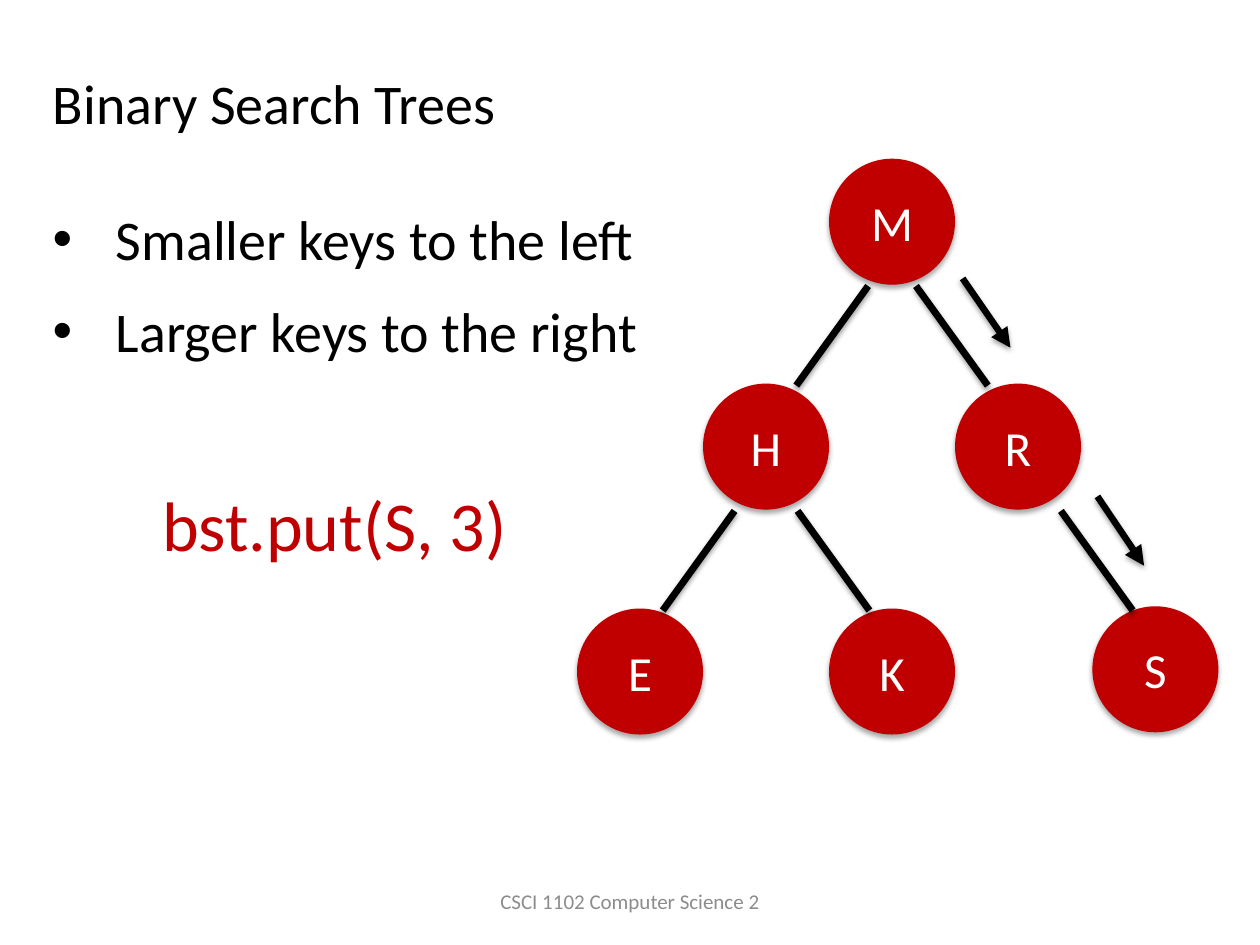
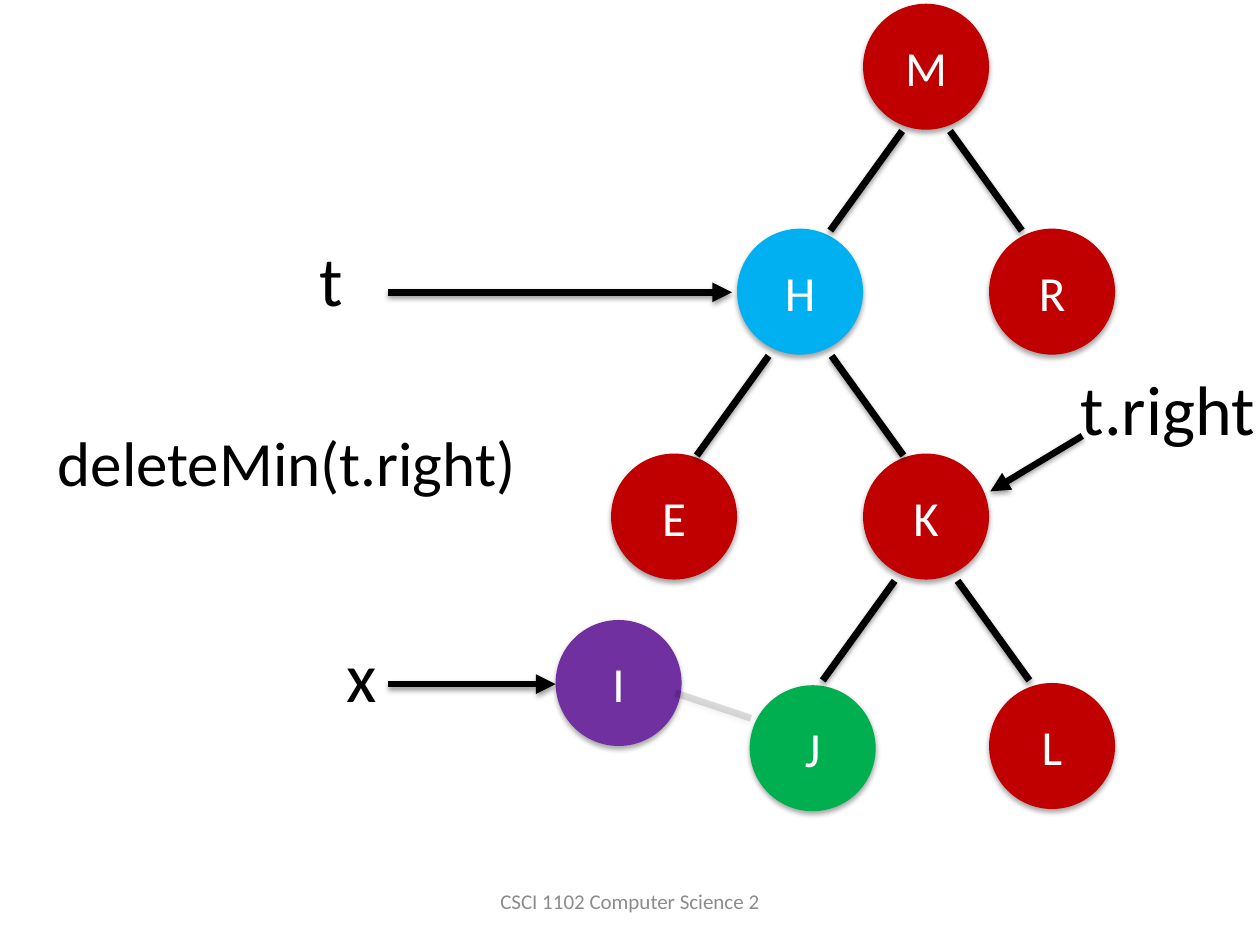
from dataclasses import dataclass

import pptx
import pptx.dml.color
import pptx.enum.shapes
import pptx.enum.text
import pptx.oxml
import pptx.oxml.ns
import pptx.presentation
import pptx.shapes.base
import pptx.shapes.connector
import pptx.slide
import pptx.text.text
import pptx.util

CELL = pptx.util.Inches(1)  # the slide is a grid of 10 columns by 7.5 rows
COLUMNS, ROWS = 10, 7.5
NODE = 1  # diameter of a tree node
LEVEL = 1.785  # distance between tree levels
EDGE_RUN, EDGE_DROP = 0.57, 0.79
EDGE_WIDTH, POINTER_WIDTH = 4, 3.75

FONT = "Calibri"
BLACK, WHITE, GREY = "000000", "FFFFFF", "8C8C8C"
RED, BLUE, PURPLE, GREEN = "C00000", "00B0F0", "7030A0", "00B050"

PP_ALIGN = pptx.enum.text.PP_ALIGN
ANCHOR = pptx.enum.text.MSO_ANCHOR
AUTO_SIZE = pptx.enum.text.MSO_AUTO_SIZE
TITLE_ONLY, BLANK = 5, 6


@dataclass(frozen=True)
class Node:
    """A key, placed in columns and levels relative to the root."""
    key: str
    column: float
    level: float
    color: str = RED


@dataclass(frozen=True)
class Edge:
    """A branch leaving the parent's foot; offset is signed, left is negative."""
    parent: str
    offset: float


@dataclass(frozen=True)
class Pointer:
    start: tuple[float, float]
    end: tuple[float, float]


@dataclass(frozen=True)
class Label:
    text: str
    box: tuple[float, float, float, float]
    size: float = 40
    color: str = BLACK


@dataclass(frozen=True)
class Tree:
    root: tuple[float, float]
    nodes: list[Node]
    edges: list[Edge]


INSERTION = Tree(
    (6.58, 1.26),
    [Node("M", 0, 0), Node("H", -1, 1), Node("E", -2, 2), Node("R", 1, 1),
     Node("K", 0, 2), Node("S", 2.09, 1.99)],
    [Edge("M", -0.19), Edge("M", 0.19), Edge("H", -0.25), Edge("H", 0.25),
     Edge("R", 0.34)],
)
INSERTION_PATH = [Pointer((7.64, 2.21), (8.02, 2.76)),
                  Pointer((8.71, 3.94), (9.08, 4.49))]
KEY_RULES = ["Smaller keys to the left", "Larger keys to the right"]
PUT_CALL = Label("bst.put(S, 3)", (1.19, 3.77, 2.96, 0.77), color=RED)

DELETION = Tree(
    (6.85, 0.03),
    [Node("M", 0, 0), Node("H", -1, 1, BLUE), Node("E", -2, 2), Node("R", 1, 1),
     Node("K", 0, 2), Node("I", -2.44, 2.74, PURPLE), Node("L", 1, 3.02),
     Node("J", -0.9, 3.03, GREEN)],
    [Edge("M", -0.19), Edge("M", 0.19), Edge("H", -0.25), Edge("H", 0.25),
     Edge("K", -0.25), Edge("K", 0.25)],
)
DELETION_POINTERS = [Pointer((3.08, 2.32), (5.81, 2.32)),
                     Pointer((8.59, 3.46), (7.86, 3.9)),
                     Pointer((3.08, 5.43), (4.41, 5.43))]
DETACHED_LINK = Pointer((5.36, 5.5), (5.96, 5.7))
DELETION_LABELS = [
    Label("t", (2.44, 1.83, 0.39, 0.77)),
    Label("t.right", (8.48, 2.85, 1.6, 0.77)),
    Label("x", (2.65, 4.97, 0.45, 0.77)),
    Label("deleteMin(t.right)", (0.36, 3.31, 3.87, 0.71), 36),
]


def grid(*cells: float) -> list[pptx.util.Emu]:
    return [pptx.util.Emu(round(cell * CELL)) for cell in cells]


def rgb(color: str) -> pptx.dml.color.RGBColor:
    return pptx.dml.color.RGBColor.from_string(color)


def add_run(paragraph: pptx.text.text._Paragraph, text: str, size: float, color: str) -> None:
    run = paragraph.add_run()
    run.text = text
    run.font.name = FONT
    run.font.size = pptx.util.Pt(size)
    run.font.color.rgb = rgb(color)


def add_shadow(shape: pptx.shapes.base.BaseShape, distance: float, opacity: int) -> None:
    """Give the shape a soft black shadow falling straight down."""
    shape._element.spPr.append(pptx.oxml.parse_xml(
        f'<a:effectLst {pptx.oxml.ns.nsdecls("a")}>'
        f'<a:outerShdw blurRad="{pptx.util.Pt(3.1)}" dist="{pptx.util.Pt(distance)}"'
        ' dir="5400000" rotWithShape="0">'
        f'<a:srgbClr val="{BLACK}"><a:alpha val="{opacity * 1000}"/></a:srgbClr>'
        '</a:outerShdw></a:effectLst>'))


def add_line(slide: pptx.slide.Slide, line: Pointer, width: float,
             arrow: bool = False, opacity: int = 100) -> None:
    connector = slide.shapes.add_connector(
        pptx.enum.shapes.MSO_CONNECTOR.STRAIGHT, *grid(*line.start, *line.end))
    connector.line.width = pptx.util.Pt(width)
    connector.line.color.rgb = rgb(BLACK)
    outline = connector.line._get_or_add_ln()
    if opacity < 100:
        color = outline.find(".//" + pptx.oxml.ns.qn("a:srgbClr"))
        color.append(pptx.oxml.parse_xml(
            f'<a:alpha {pptx.oxml.ns.nsdecls("a")} val="{opacity * 1000}"/>'))
    if arrow:
        outline.append(pptx.oxml.parse_xml(
            f'<a:tailEnd {pptx.oxml.ns.nsdecls("a")} type="triangle"/>'))
    add_shadow(connector, 1.6, 38)


def add_node(slide: pptx.slide.Slide, node: Node, left: float, top: float) -> None:
    circle = slide.shapes.add_shape(
        pptx.enum.shapes.MSO_SHAPE.OVAL, *grid(left, top, NODE, NODE))
    circle.shadow.inherit = False
    circle._element.spPr.remove(circle._element.spPr.find(pptx.oxml.ns.qn("a:effectLst")))
    circle.fill.solid()
    circle.fill.fore_color.rgb = rgb(node.color)
    circle.line.fill.background()
    add_shadow(circle, 1.8, 35)
    circle.text_frame.vertical_anchor = ANCHOR.MIDDLE
    paragraph = circle.text_frame.paragraphs[0]
    paragraph.alignment = PP_ALIGN.CENTER
    add_run(paragraph, node.key, 28, WHITE)


def add_tree(slide: pptx.slide.Slide, tree: Tree) -> None:
    corners = {node.key: (tree.root[0] + node.column, tree.root[1] + node.level * LEVEL)
               for node in tree.nodes}
    for node in tree.nodes:
        add_node(slide, node, *corners[node.key])
    for edge in tree.edges:
        left, top = corners[edge.parent]
        x, y = left + NODE / 2 + edge.offset, top + NODE + 0.01
        run = EDGE_RUN if edge.offset > 0 else -EDGE_RUN
        add_line(slide, Pointer((x, y), (x + run, y + EDGE_DROP)), EDGE_WIDTH)


def add_text_frame(slide: pptx.slide.Slide,
                   box: tuple[float, float, float, float]) -> pptx.text.text.TextFrame:
    frame = slide.shapes.add_textbox(*grid(*box)).text_frame
    frame.word_wrap = False
    frame.auto_size = AUTO_SIZE.SHAPE_TO_FIT_TEXT
    return frame


def add_label(slide: pptx.slide.Slide, label: Label) -> None:
    frame = add_text_frame(slide, label.box)
    add_run(frame.paragraphs[0], label.text, label.size, label.color)


def add_footer(slide: pptx.slide.Slide) -> None:
    width = 3.17
    box = ((COLUMNS - width) / 2, ROWS - 0.55, width, 0.4)
    frame = slide.shapes.add_textbox(*grid(*box)).text_frame
    frame.word_wrap = True
    frame.vertical_anchor = ANCHOR.MIDDLE
    frame.paragraphs[0].alignment = PP_ALIGN.CENTER
    add_run(frame.paragraphs[0], "CSCI 1102 Computer Science 2", 12, GREY)


def set_title(slide: pptx.slide.Slide, text: str) -> None:
    title = slide.shapes.title
    title.left, title.top, title.width, title.height = grid(0.32, 0.49, 4.89, 0.64)
    frame = title.text_frame
    frame.auto_size = AUTO_SIZE.NONE
    frame.vertical_anchor = ANCHOR.TOP
    frame.paragraphs[0].alignment = PP_ALIGN.LEFT
    add_run(frame.paragraphs[0], text, 32, BLACK)


def add_bullets(slide: pptx.slide.Slide, items: list[str]) -> None:
    frame = add_text_frame(slide, (0.32, 1.57, 4.89, 1.38))
    indent = grid(0.5)[0]
    for index, item in enumerate(items):
        paragraph = frame.add_paragraph() if index else frame.paragraphs[0]
        if index:
            paragraph.space_before = pptx.util.Pt(14.6)
        properties = paragraph._p.get_or_add_pPr()
        properties.set("marL", str(indent))
        properties.set("indent", str(-indent))
        for bullet in ('<a:buFont {} typeface="Arial"/>', '<a:buChar {} char="•"/>'):
            properties.append(pptx.oxml.parse_xml(
                bullet.format(pptx.oxml.ns.nsdecls("a"))))
        add_run(paragraph, item, 32, BLACK)


def add_slide(deck: pptx.presentation.Presentation, layout: int) -> pptx.slide.Slide:
    slide = deck.slides.add_slide(deck.slide_layouts[layout])
    add_footer(slide)
    return slide


def build_insertion(deck: pptx.presentation.Presentation) -> None:
    slide = add_slide(deck, TITLE_ONLY)
    set_title(slide, "Binary Search Trees")
    add_bullets(slide, KEY_RULES)
    add_label(slide, PUT_CALL)
    add_tree(slide, INSERTION)
    for step in INSERTION_PATH:
        add_line(slide, step, POINTER_WIDTH, arrow=True)


def build_deletion(deck: pptx.presentation.Presentation) -> None:
    slide = add_slide(deck, BLANK)
    add_tree(slide, DELETION)
    for label in DELETION_LABELS:
        add_label(slide, label)
    add_line(slide, DETACHED_LINK, EDGE_WIDTH, opacity=13)
    for pointer in DELETION_POINTERS:
        add_line(slide, pointer, POINTER_WIDTH, arrow=True)


def main() -> None:
    deck = pptx.Presentation()
    deck.slide_width, deck.slide_height = grid(COLUMNS, ROWS)
    build_insertion(deck)
    build_deletion(deck)
    deck.save("out.pptx")


if __name__ == "__main__":
    main()
